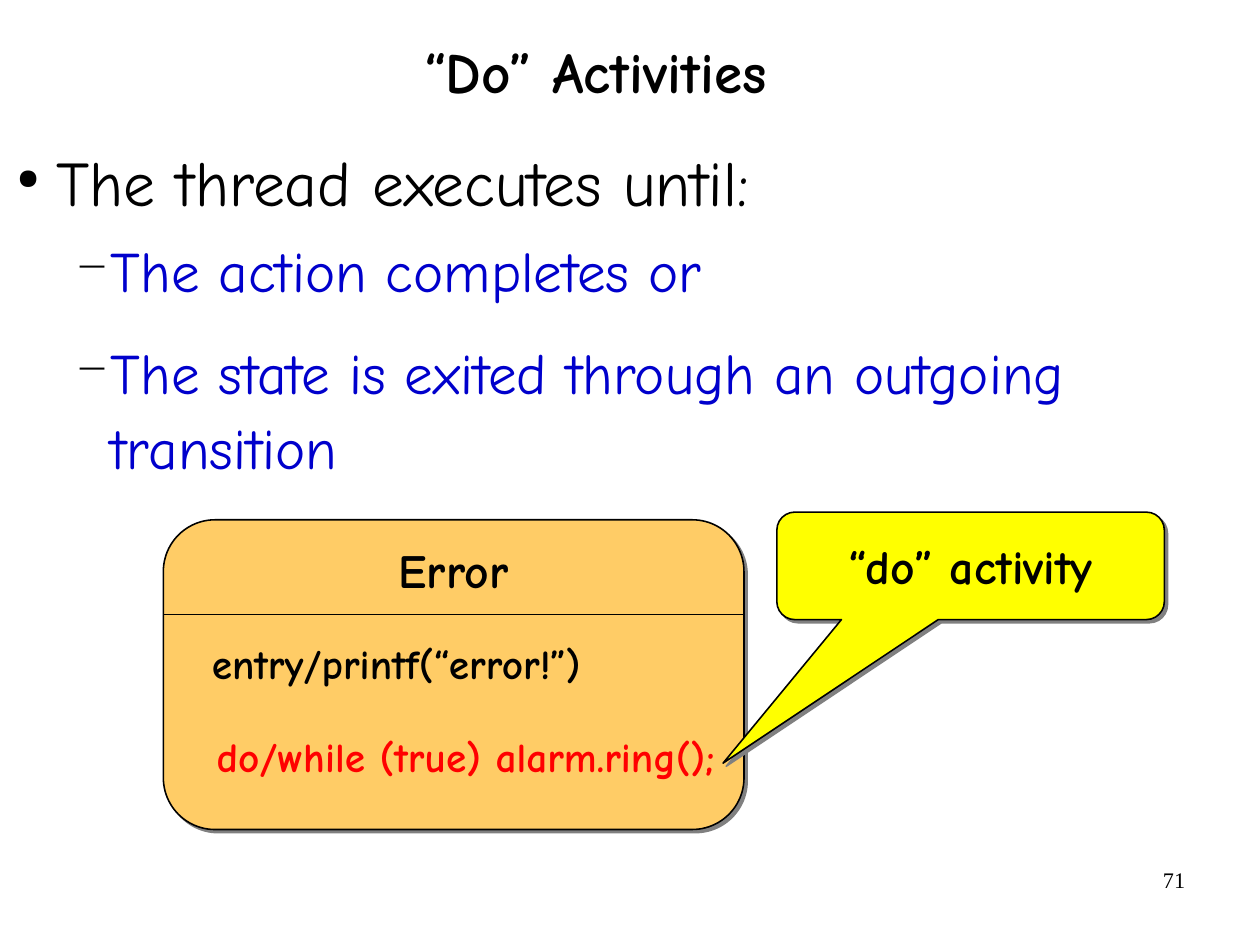
from lxml import etree
from pptx import Presentation
from pptx.dml.color import RGBColor
from pptx.enum import shapes, text
from pptx.oxml import ns
from pptx.util import Pt

BLACK, BLUE, RED, GREY = "000000", "0000CC", "FF0000", "808080"
ORANGE, YELLOW = "FFCC66", "FFFF00"
COMIC, TIMES = "Comic Neue", "Times New Roman"
CENTER, RIGHT = text.PP_ALIGN.CENTER, text.PP_ALIGN.RIGHT
TOP, MIDDLE = text.MSO_ANCHOR.TOP, text.MSO_ANCHOR.MIDDLE


def color(value):
    return RGBColor.from_string(value)


def child(parent, tag, **attributes):
    return etree.SubElement(parent, ns.qn(tag), attributes)


def setup_frame(frame, inset=(8, 4), anchor=TOP, wrap=False):
    frame.word_wrap = wrap
    frame.auto_size = text.MSO_AUTO_SIZE.NONE
    frame.vertical_anchor = anchor
    frame.margin_left = frame.margin_right = Pt(inset[0])
    frame.margin_top = frame.margin_bottom = Pt(inset[1])


def write(paragraph, words, size=30, ink=BLACK, bold=True, font=COMIC,
          align=CENTER, spacing=None):
    paragraph.alignment = align
    if spacing:
        paragraph.line_spacing = spacing
    run = paragraph.add_run()
    run.text = words
    run.font.size = Pt(size)
    run.font.bold = bold
    run.font.name = font
    run.font.color.rgb = color(ink)


def add_label(slide, box, words, anchor=MIDDLE, inset=(8, 4), wrap=False, **style):
    label = slide.shapes.add_textbox(*map(Pt, box))
    setup_frame(label.text_frame, inset, anchor, wrap)
    write(label.text_frame.paragraphs[0], words, **style)


def add_panel(slide, box, kind, adjustments, fill, words, anchor):
    panel = slide.shapes.add_shape(kind, *map(Pt, box))
    for index, value in enumerate(adjustments):
        panel.adjustments[index] = value
    panel.fill.solid()
    panel.fill.fore_color.rgb = color(fill)
    panel.line.color.rgb = color(BLACK)
    panel.line.width = Pt(1)
    panel.shadow.inherit = False
    effects = panel.element.spPr.find(ns.qn("a:effectLst"))
    shadow = child(effects, "a:outerShdw", blurRad="0", dist=str(Pt(2.8)),
                   dir="2700000", algn="tl", rotWithShape="0")
    child(shadow, "a:srgbClr", val=GREY)
    setup_frame(panel.text_frame, anchor=anchor)
    write(panel.text_frame.paragraphs[0], words)


def add_title(slide, box):
    title = slide.shapes.title
    title.left, title.top, title.width, title.height = map(Pt, box)
    setup_frame(title.text_frame, (0, 0), MIDDLE, True)
    write(title.text_frame.paragraphs[0], "“Do” Activities", size=36, spacing=0.88)


def add_conditions(slide, box):
    frame = slide.shapes.add_textbox(*map(Pt, box)).text_frame
    setup_frame(frame, (0, 0), wrap=True)
    points = [("The thread executes until:", 0),
              ("The action completes or", 1),
              ("The state is exited through an outgoing transition", 1)]
    levels = [(33.1, -25.2, "●", 45, 40, BLACK, 0),
              (67, -22.3, "−", 75, 36, BLUE, 10.9)]
    for index, (words, level) in enumerate(points):
        margin, indent, bullet, scale, size, ink, after = levels[level]
        paragraph = frame.add_paragraph() if index else frame.paragraphs[0]
        paragraph.level = level
        paragraph.space_before = Pt(6 if index else 0)
        paragraph.space_after = Pt(after)
        paragraph.line_spacing = 1.1
        properties = paragraph._p.get_or_add_pPr()
        properties.set("marL", str(Pt(margin)))
        properties.set("indent", str(Pt(indent)))
        child(child(properties, "a:buClr"), "a:srgbClr", val=BLACK)
        child(properties, "a:buSzPct", val=str(scale * 1000))
        child(properties, "a:buChar", char=bullet)
        write(paragraph, words, size=size, ink=ink, bold=False,
              align=text.PP_ALIGN.LEFT)


def add_error_state(slide, box):
    left, top, width, height = box
    add_panel(slide, box, shapes.MSO_SHAPE.ROUNDED_RECTANGLE, [0.167],
              ORANGE, "Error", TOP)
    divider_y = top + 59.8
    divider = slide.shapes.add_connector(
        shapes.MSO_CONNECTOR.STRAIGHT,
        Pt(left), Pt(divider_y), Pt(left + width), Pt(divider_y))
    divider.line.color.rgb = color(BLACK)
    divider.line.width = Pt(1)
    child(divider.element.spPr, "a:effectLst")
    add_label(slide, (left + 5.8, top + 70.6, 282.2, 39.6),
              "entry/printf(“error!”)", size=26)
    add_label(slide, (left + 5, top + 128.9, 371.5, 39.6),
              "do/while (true) alarm.ring();", size=26, ink=RED)


def add_activity_callout(slide, box):
    add_panel(slide, box, shapes.MSO_SHAPE.ROUNDED_RECTANGULAR_CALLOUT,
              [-0.639, 1.836, 0.167], YELLOW, "“do” activity", MIDDLE)


def main():
    deck = Presentation()
    deck.slide_width, deck.slide_height = Pt(793.75), Pt(595.25)
    slide = deck.slides.add_slide(deck.slide_layouts[5])
    add_title(slide, (36.7, 9.4, 676.8, 75.6))
    add_conditions(slide, (2.7, 85, 793.5, 468))
    add_error_state(slide, (102.9, 327.4, 365.8, 195.1))
    add_activity_callout(slide, (489.4, 322.6, 244.1, 67.7))
    add_label(slide, (568.8, 542, 185, 41), "71", anchor=TOP, inset=(7.2, 3.6),
              wrap=True, size=14, bold=False, font=TIMES, align=RIGHT)
    deck.save("out.pptx")


if __name__ == "__main__":
    main()
